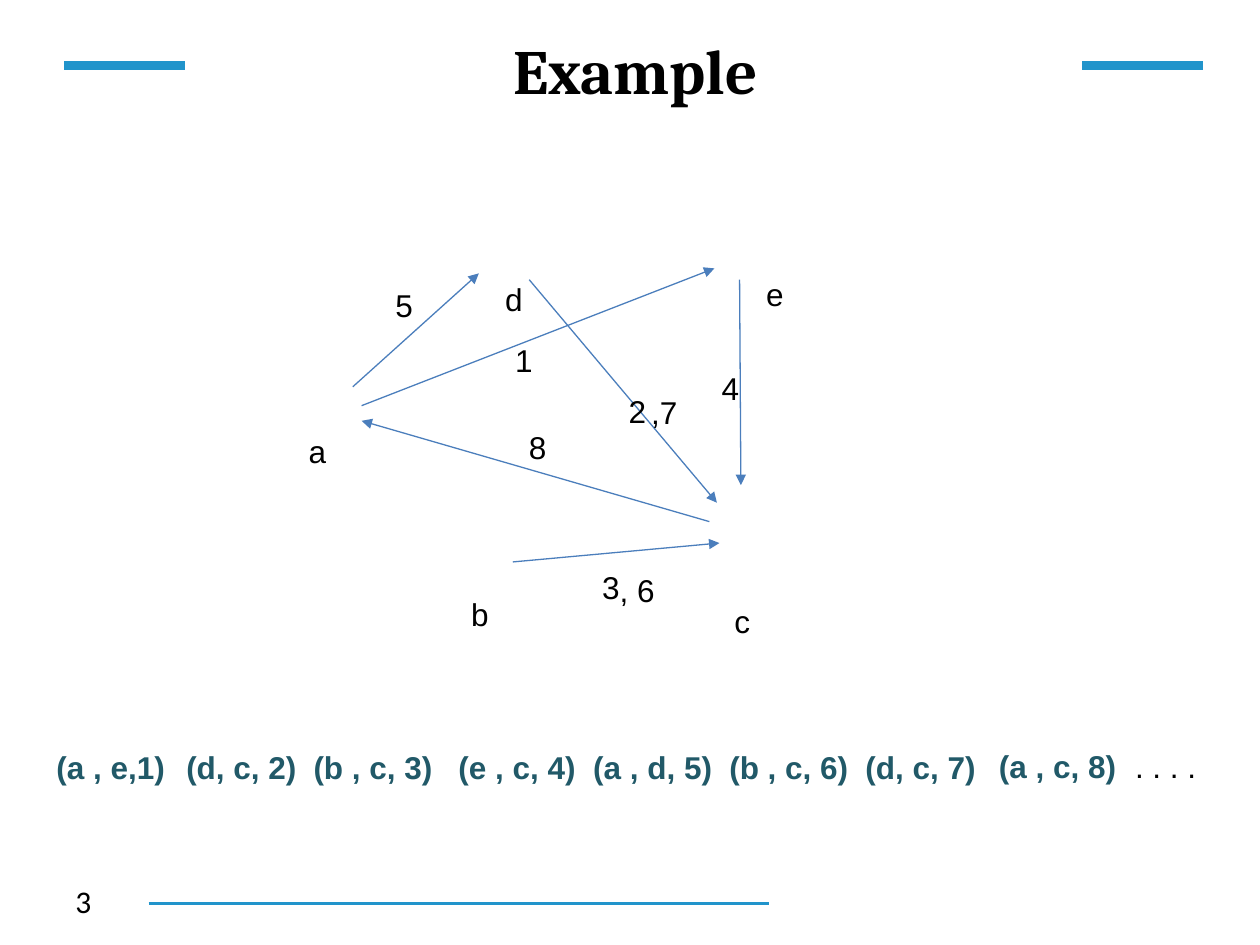
from dataclasses import dataclass

from lxml import etree
from pptx import Presentation
from pptx.dml.color import RGBColor
from pptx.enum.shapes import MSO_CONNECTOR
from pptx.enum.text import MSO_ANCHOR, PP_ALIGN
from pptx.oxml.ns import qn
from pptx.util import Inches, Pt

STRAIGHT = MSO_CONNECTOR.STRAIGHT
CENTER, LEFT = PP_ALIGN.CENTER, PP_ALIGN.LEFT
MIDDLE, TOP = MSO_ANCHOR.MIDDLE, MSO_ANCHOR.TOP

BLACK = RGBColor(0x00, 0x00, 0x00)
TEAL = RGBColor(0x21, 0x59, 0x68)
RULE_BLUE = RGBColor(0x21, 0x94, 0xCB)
EDGE_BLUE = RGBColor(0x4B, 0x7E, 0xBC)

# The slide is a grid of 100 columns by 75 rows
SLIDE_WIDTH, SLIDE_HEIGHT = Inches(10), Inches(7.5)
COLUMN, ROW = SLIDE_WIDTH / 100, SLIDE_HEIGHT / 75
TEXT_ROWS = 4

BODY = {"name": "Arial", "size": Pt(18), "bold": False}
TUPLE = BODY | {"bold": True}
TITLE = {"name": "Cambria", "size": Pt(36), "bold": True}
NUMBER = BODY | {"name": "Calibri"}


@dataclass
class Label:
    text: str
    column: float
    row: float
    columns: float
    wrap: bool = False


@dataclass
class Line:
    start: tuple[float, float]
    end: tuple[float, float]


RULES = [
    (Line((5.1, 5.2), (14.7, 5.2)), 5),
    (Line((85.9, 5.2), (95.5, 5.2)), 5),
    (Line((11.8, 71.7), (61, 71.7)), 1.5),
]

NODES = [
    Label("a", 23.5, 33.8, 3.2),
    Label("b", 36.4, 46.7, 3.4),
    Label("c", 57.3, 47.3, 2.9, True),
    Label("e", 60.2, 21.3, 1.6, True),
    Label("d", 39.1, 21.7, 2.9, True),
]

EDGES = [
    Line((28.7, 32.2), (56.7, 21.3)),  # a to e
    Line((42, 22.2), (56.9, 39.9)),  # d to c
    Line((40.7, 44.6), (57.1, 43.1)),  # b to c
    Line((58.7, 22.2), (58.8, 38.5)),  # e to c
    Line((28, 30.7), (38, 21.7)),  # a to d
    Line((56.3, 41.4), (28.7, 33.4)),  # c to a
]

TIMES = [
    Label("1", 39.9, 26.6, 3.3),
    Label("4", 56.3, 28.8, 3.3),
    Label("3", 46.8, 44.6, 3.3),
    Label("2", 48.9, 30.6, 3.3),
    Label("5", 30.4, 22.2, 3.3),
    Label(", 6", 48.2, 44.8, 4.8),
    Label("8", 41, 33.5, 4.6, True),
    Label(",7", 50.7, 30.7, 4.1),
]

STREAM = [
    Label("(a , e,1)", 3.5, 58.9, 10.7),
    Label("(d, c, 2)", 13.8, 58.9, 10.9),
    Label("(b , c, 3)", 23.9, 58.9, 11.6),
    Label("(e , c, 4)", 35.4, 58.9, 11.4),
    Label("(a , d, 5)", 46.1, 58.9, 11.6),
    Label("(b , c, 6)", 56.9, 58.9, 11.6),
    Label("(d, c, 7)", 67.7, 58.9, 10.9),
    Label("(a , c, 8)", 78.3, 58.8, 11.4),
]


def across(columns: float) -> int:
    return round(columns * COLUMN)


def down(rows: float) -> int:
    return round(rows * ROW)


def add_label(slide, label: Label, font_format: dict, color: RGBColor = BLACK,
              rows: float = TEXT_ROWS, align=LEFT, anchor=TOP) -> None:
    shape = slide.shapes.add_textbox(
        across(label.column), down(label.row), across(label.columns), down(rows))
    frame = shape.text_frame
    frame.word_wrap = label.wrap
    frame.vertical_anchor = anchor
    paragraph = frame.paragraphs[0]
    paragraph.alignment = align
    run = paragraph.add_run()
    run.text = label.text
    for attribute, value in font_format.items():
        setattr(run.font, attribute, value)
    run.font.color.rgb = color


def add_line(slide, line: Line, color: RGBColor, width: float, arrow: bool = False) -> None:
    connector = slide.shapes.add_connector(
        STRAIGHT, across(line.start[0]), down(line.start[1]),
        across(line.end[0]), down(line.end[1]))
    connector.line.color.rgb = color
    connector.line.width = Pt(width)
    if arrow:
        etree.SubElement(connector.line._get_or_add_ln(), qn("a:tailEnd"), type="triangle")
    etree.SubElement(connector._element.spPr, qn("a:effectLst"))


def main() -> None:
    presentation = Presentation()
    presentation.slide_width, presentation.slide_height = SLIDE_WIDTH, SLIDE_HEIGHT
    slide = presentation.slides.add_slide(presentation.slide_layouts[6])

    # Frame: rules, title and slide number
    for rule, width in RULES:
        add_line(slide, rule, RULE_BLUE, width)
    add_label(slide, Label("Example", 15.4, 1.3, 70.1, True), TITLE,
              rows=8.4, align=CENTER, anchor=MIDDLE)
    add_label(slide, Label("3", 5, 69.5, 23.3, True), NUMBER)

    # Temporal graph: edges under the node names and times
    for edge in EDGES:
        add_line(slide, edge, EDGE_BLUE, 0.75, arrow=True)
    for label in NODES + TIMES:
        add_label(slide, label, BODY)

    # Edge stream
    for label in STREAM:
        add_label(slide, label, TUPLE, TEAL)
    add_label(slide, Label(". . . .", 89.1, 58.8, 10.5, True), BODY)

    presentation.save("out.pptx")


if __name__ == "__main__":
    main()
